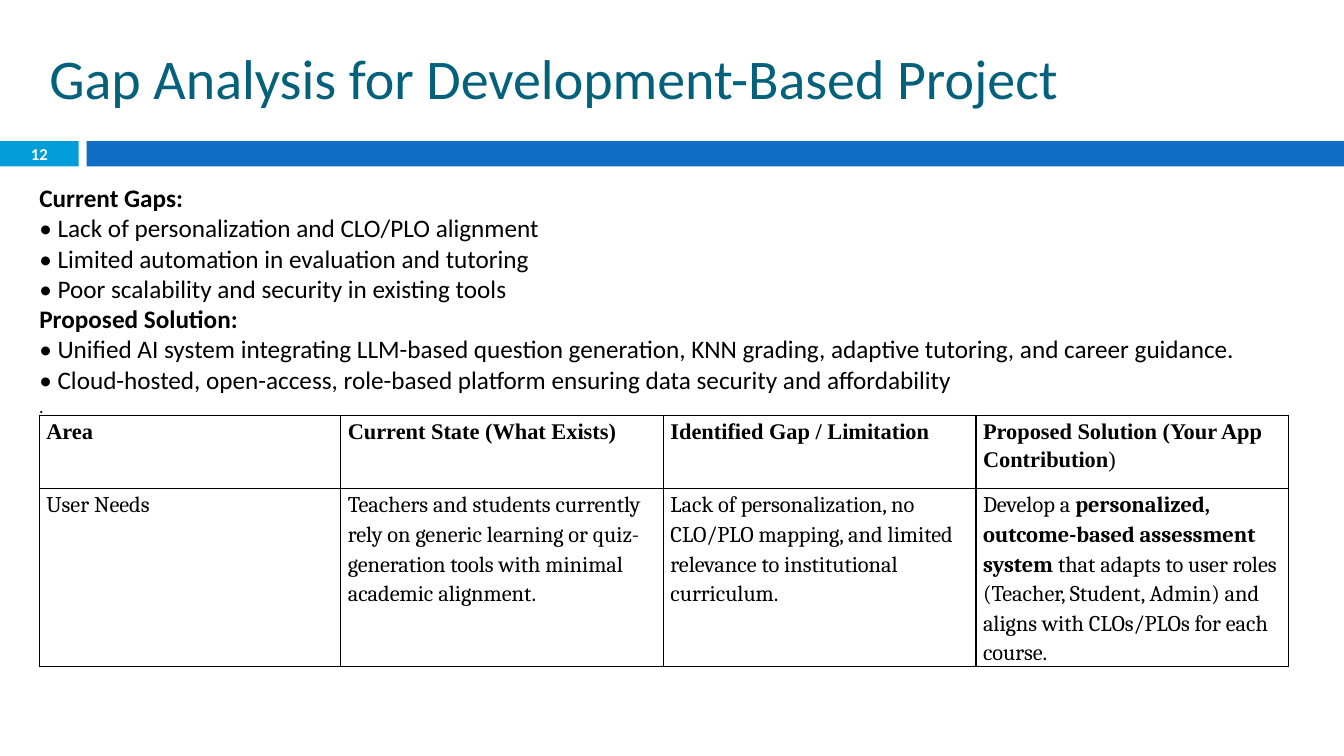
from dataclasses import dataclass

from lxml import etree
from pptx import Presentation
from pptx import util as u
from pptx.dml import color
from pptx.enum import shapes, text
from pptx.oxml import ns

COLORS = {
    "title": "04617B",
    "number": "009DD9",
    "band": "0F6FC6",
    "ink": "000000",
    "paper": "FFFFFF",
}


@dataclass(frozen=True)
class Span:
    words: str
    bold: bool = False
    font: str = "Calibri"
    size: float = 18
    ink: str = "ink"


@dataclass(frozen=True)
class Band:
    left: float
    width: float
    fill: str


@dataclass(frozen=True)
class GapSection:
    heading: str
    points: tuple[str, ...]


BANDS = (Band(0, 0.78, "number"), Band(0.86, 12.47, "band"))

SECTIONS = (
    GapSection("Current Gaps:", (
        "Lack of personalization and CLO/PLO alignment",
        "Limited automation in evaluation and tutoring",
        "Poor scalability and security in existing tools",
    )),
    GapSection("Proposed Solution:", (
        "Unified AI system integrating LLM-based question generation, KNN grading, "
        "adaptive tutoring, and career guidance.",
        "Cloud-hosted, open-access, role-based platform ensuring data security and affordability",
    )),
)


def header(words: str, bold: bool = True) -> Span:
    return Span(words, bold, "Times New Roman", 16)


def body(words: str, bold: bool = False) -> Span:
    return Span(words, bold, "Cambria", 16)


COLUMN_WIDTHS = (2.99, 3.2, 3.1, 3.1)
ROW_HEIGHTS = (0.73, 1.76)
GAP_ROWS = (
    (
        (header("Area"),),
        (header("Current State (What Exists)"),),
        (header("Identified Gap / Limitation"),),
        (header("Proposed Solution (Your App Contribution"), header(")", False)),
    ),
    (
        (body("User Needs"),),
        (body("Teachers and students currently rely on generic learning or quiz-generation "
              "tools with minimal academic alignment."),),
        (body("Lack of personalization, no CLO/PLO mapping, and limited relevance to "
              "institutional curriculum."),),
        (
            body("Develop a "),
            body("personalized, outcome-based assessment system", True),
            body(" that adapts to user roles (Teacher, Student, Admin) and aligns with "
                 "CLOs/PLOs for each course."),
        ),
    ),
)

FRAME = {
    "word_wrap": True,
    "margin_left": 0,
    "margin_right": 0,
    "margin_top": 0,
    "margin_bottom": 0,
}
SUMMARY_FRAME = FRAME | {
    "margin_top": u.Inches(0.33),
    "vertical_anchor": text.MSO_ANCHOR.TOP,
}
NUMBER_FRAME = FRAME | {"vertical_anchor": text.MSO_ANCHOR.MIDDLE}
CELL_FORMAT = {
    "margin_left": u.Inches(0.07),
    "margin_right": u.Inches(0.07),
    "margin_top": 0,
    "margin_bottom": 0,
}
PLAIN_TABLE = {"first_row": False, "horz_banding": False}


def apply(target, formats: dict) -> None:
    for name, value in formats.items():
        setattr(target, name, value)


def rgb(key: str) -> color.RGBColor:
    return color.RGBColor.from_string(COLORS[key])


def write(paragraph, span: Span) -> None:
    run = paragraph.add_run()
    run.text = span.words
    apply(run.font, {"name": span.font, "size": u.Pt(span.size), "bold": span.bold})
    run.font.color.rgb = rgb(span.ink)


def draw_band(slide, band: Band):
    bar = slide.shapes.add_shape(
        shapes.MSO_SHAPE.RECTANGLE,
        u.Inches(band.left), u.Inches(1.4), u.Inches(band.width), u.Inches(0.25),
    )
    bar.shadow.inherit = False
    bar.fill.solid()
    bar.fill.fore_color.rgb = rgb(band.fill)
    bar.line.fill.background()
    return bar


def draw_title(slide) -> None:
    title = slide.shapes.title
    apply(title, {
        "left": u.Inches(0.39), "top": u.Inches(0.22),
        "width": u.Inches(11.89), "height": u.Inches(1.08),
    })
    title.text_frame.vertical_anchor = text.MSO_ANCHOR.MIDDLE
    heading = title.text_frame.paragraphs[0]
    heading.alignment = text.PP_ALIGN.LEFT
    write(heading, Span("Gap Analysis for Development-Based Project", size=40, ink="title"))


def border(cell) -> None:
    properties = cell._tc.get_or_add_tcPr()
    for side in ("a:lnL", "a:lnR", "a:lnT", "a:lnB"):
        edge = etree.SubElement(properties, ns.qn(side), w=str(u.Pt(1)))
        fill = etree.SubElement(edge, ns.qn("a:solidFill"))
        etree.SubElement(fill, ns.qn("a:srgbClr"), val=COLORS["ink"])


def draw_table(slide) -> None:
    gaps = slide.shapes.add_table(
        len(ROW_HEIGHTS), len(COLUMN_WIDTHS), u.Inches(0.39), u.Inches(4.12),
        u.Inches(sum(COLUMN_WIDTHS)), u.Inches(sum(ROW_HEIGHTS)),
    ).table
    apply(gaps, PLAIN_TABLE)
    for column, width in zip(gaps.columns, COLUMN_WIDTHS):
        column.width = u.Inches(width)
    for row, height, entries in zip(gaps.rows, ROW_HEIGHTS, GAP_ROWS):
        row.height = u.Inches(height)
        for cell, spans in zip(row.cells, entries):
            apply(cell, CELL_FORMAT)
            border(cell)
            cell.fill.background()
            paragraph = cell.text_frame.paragraphs[0]
            paragraph.line_spacing = 1.15
            for span in spans:
                write(paragraph, span)


def draw_summary(slide) -> None:
    summary = slide.shapes.add_textbox(
        u.Inches(0.39), u.Inches(1.48), u.Inches(12.55), u.Inches(2.96)
    ).text_frame
    apply(summary, SUMMARY_FRAME)
    paragraph = summary.paragraphs[0]
    for section in SECTIONS:
        write(paragraph, Span(section.heading, True))
        for point in section.points:
            paragraph.add_line_break()
            write(paragraph, Span(f"• {point}"))
        paragraph = summary.add_paragraph()
    write(paragraph, Span(".", font="Cambria", size=14))


def main() -> None:
    deck = Presentation()
    apply(deck, {"slide_width": u.Inches(13.33), "slide_height": u.Inches(7.5)})
    slide = deck.slides.add_slide(deck.slide_layouts[5])
    number_bar, _ = [draw_band(slide, band) for band in BANDS]
    apply(number_bar.text_frame, NUMBER_FRAME)
    number = number_bar.text_frame.paragraphs[0]
    number.alignment = text.PP_ALIGN.CENTER
    write(number, Span("12", True, size=11.9, ink="paper"))
    draw_title(slide)
    draw_table(slide)
    draw_summary(slide)
    deck.save("out.pptx")


if __name__ == "__main__":
    main()
